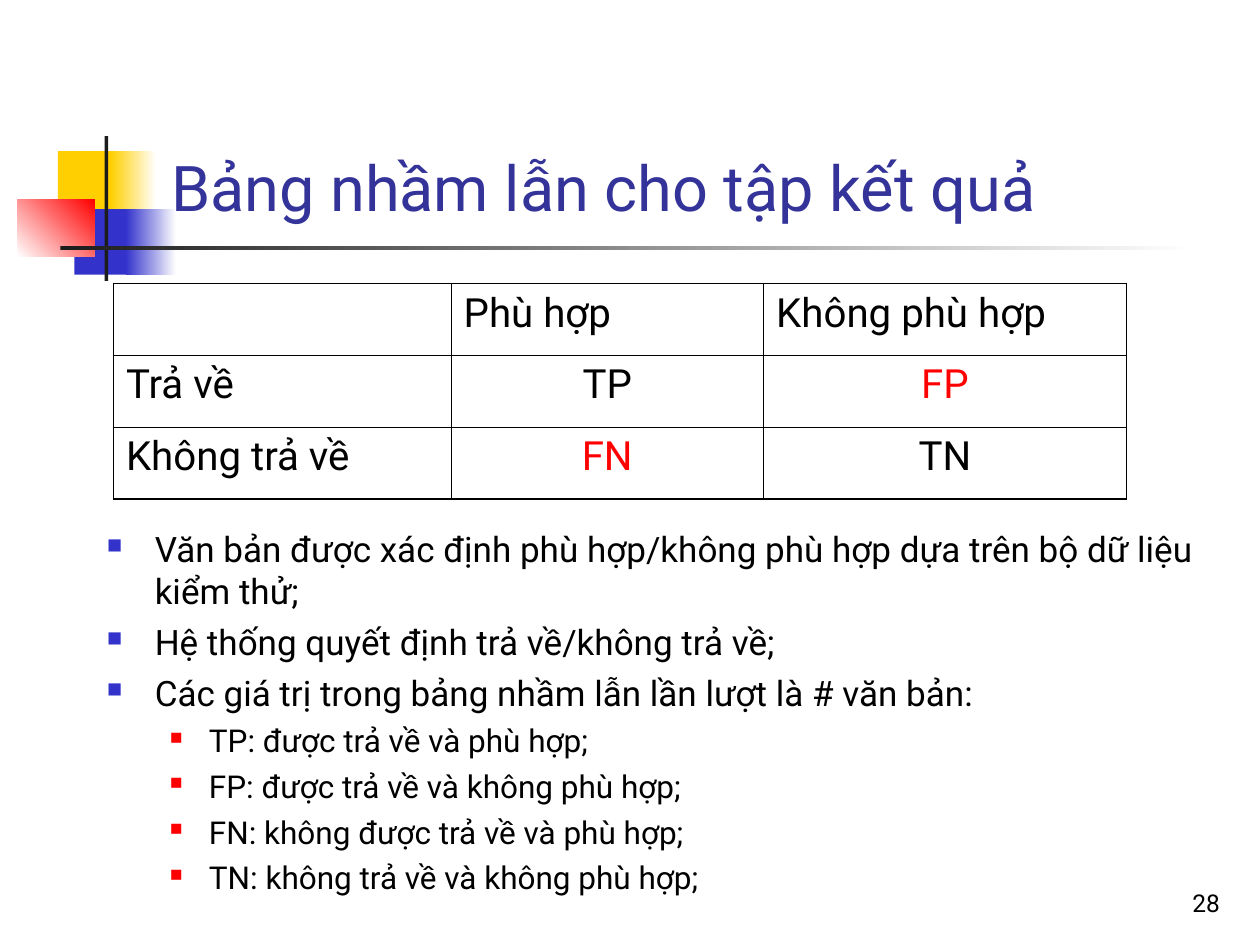
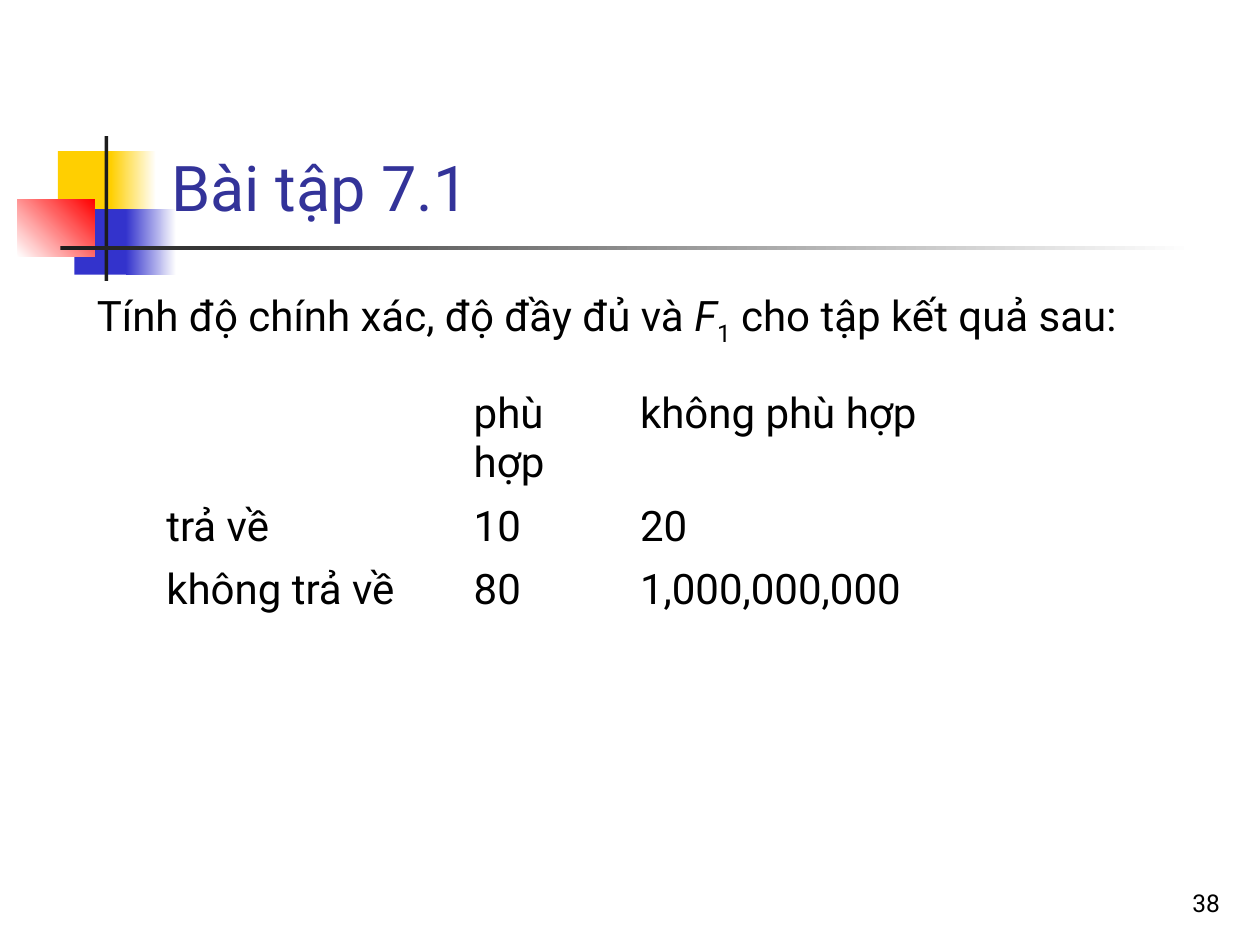
from pptx import Presentation
from pptx.dml.color import RGBColor
from pptx.enum.shapes import MSO_SHAPE
from pptx.enum.text import MSO_ANCHOR, PP_ALIGN
from pptx.oxml.ns import qn
from pptx.util import Inches, Pt
from lxml import etree

RECTANGLE = MSO_SHAPE.RECTANGLE
LEFT, CENTER, RIGHT = PP_ALIGN.LEFT, PP_ALIGN.CENTER, PP_ALIGN.RIGHT
TOP, BOTTOM = MSO_ANCHOR.TOP, MSO_ANCHOR.BOTTOM

FONT = "Roboto"
BLACK = RGBColor(0x00, 0x00, 0x00)
WHITE = RGBColor(0xFF, 0xFF, 0xFF)
INK = RGBColor(0x1C, 0x1C, 0x1C)
YELLOW = RGBColor(0xFF, 0xCF, 0x01)
BLUE = RGBColor(0x33, 0x33, 0xCC)
RED = RGBColor(0xFF, 0x00, 0x00)
TITLE_BLUE = RGBColor(0x33, 0x33, 0x99)

deck = Presentation()
deck.slide_width, deck.slide_height = Inches(10), Inches(7.5)
COLUMN = deck.slide_width / 100
ROW = deck.slide_height / 75


def place(left, top, width, height):
    return round(left * COLUMN), round(top * ROW), round(width * COLUMN), round(height * ROW)


def write(frame, text, size, color=BLACK, align=LEFT, before=0, bullet=None,
          joined=False, italic=False, baseline=0):
    if joined or not frame.text:
        para = frame.paragraphs[-1]
    else:
        para = frame.add_paragraph()
        para.space_before = Pt(before)
    para.alignment = align
    if bullet:
        bullet_color, percent, margin, hanging = bullet
        settings = para._p.get_or_add_pPr()
        settings.set("marL", str(round(margin * COLUMN)))
        settings.set("indent", str(round(-hanging * COLUMN)))
        tint = etree.SubElement(settings, qn("a:buClr"))
        etree.SubElement(tint, qn("a:srgbClr"), val=str(bullet_color))
        etree.SubElement(settings, qn("a:buSzPct"), val=str(percent * 1000))
        etree.SubElement(settings, qn("a:buChar"), char="■")
    span = para.add_run()
    span.text = text
    span.font.name, span.font.size = FONT, Pt(size)
    span.font.color.rgb, span.font.italic = color, italic
    if baseline:
        span.font._element.set("baseline", str(baseline * 1000))


ORNAMENTS = [
    ((4.6, 12, 4.8, 5.2), YELLOW, YELLOW, 0),
    ((8.8, 12, 3.6, 5.2), YELLOW, WHITE, 0),
    ((5.9, 16.6, 4.6, 5.2), BLUE, BLUE, 0),
    ((10, 16.6, 4, 5.2), BLUE, WHITE, 0),
    ((1.4, 15.8, 6.1, 4.6), WHITE, RED, 45),
    ((8.3, 10.8, 0.3, 11.5), INK, INK, 0),
    ((4.8, 19.5, 90, 0.35), INK, WHITE, 0),
]

MAIN = dict(size=20, before=5, bullet=(BLUE, 60, 3.8, 3.8))
SUB = dict(size=18, before=4.5, bullet=(RED, 55, 8.1, 3.1))

PAGES = [
    dict(
        title="Bảng nhầm lẫn cho tập kết quả", number="28",
        body_area=(7.5, 41.4, 88.9, 29.9),
        body=[
            ("Văn bản được xác định phù hợp/không phù hợp dựa trên bộ dữ liệu kiểm thử;", MAIN),
            ("Hệ thống quyết định trả về/không trả về;", MAIN),
            ("Các giá trị trong bảng nhầm lẫn lần lượt là # văn bản:", MAIN),
            ("TP: được trả về và phù hợp;", SUB),
            ("FP: được trả về và không phù hợp;", SUB),
            ("FN: không được trả về và phù hợp;", SUB),
            ("TN: không trả về và không phù hợp;", SUB),
        ],
        corner=(9, 22.5), widths=(26.8, 24.8, 28.8), heights=(5.7, 5.7, 5.7),
        cells=[["", "Phù hợp", "Không phù hợp"],
               ["Trả về", "TP", "FP"],
               ["Không trả về", "FN", "TN"]],
        cell_size=23, value_align=CENTER, border=BLACK, outer=1.08,
    ),
    dict(
        title="Bài tập 7.1", number="38",
        body_area=(6.7, 22.5, 91.2, 41.9),
        body=[
            ("Tính độ chính xác, độ đầy đủ và ", dict(size=24)),
            ("F", dict(size=24, joined=True, italic=True)),
            ("1", dict(size=24, joined=True, baseline=-25)),
            (" cho tập kết quả sau:", dict(size=24, joined=True)),
        ],
        corner=(12.2, 30.4), widths=(24.4, 13.2, 33.8), heights=(9, 5, 5),
        cells=[["", "phù hợp", "không phù hợp"],
               ["trả về", "10", "20"],
               ["không trả về", "80", "1,000,000,000"]],
        cell_size=24, value_align=LEFT, border=WHITE, outer=0.45,
    ),
]

for content in PAGES:
    page = deck.slides.add_slide(deck.slide_layouts[6])

    for area, start, end, angle in ORNAMENTS:
        ornament = page.shapes.add_shape(RECTANGLE, *place(*area))
        ornament.shadow.inherit = False
        ornament.line.fill.background()
        if start == end:
            ornament.fill.solid()
            ornament.fill.fore_color.rgb = start
        else:
            ornament.fill.gradient()
            ornament.fill.gradient_angle = angle
            for stop, color in zip(ornament.fill.gradient_stops, (start, end)):
                stop.color.rgb = color

    text_boxes = [
        ((12.6, 2.3, 85.2, 16), BOTTOM, [(content["title"], dict(size=36, color=TITLE_BLUE))]),
        (content["body_area"], TOP, content["body"]),
        ((77, 68.3, 20.8, 5), BOTTOM, [(content["number"], dict(size=14, align=RIGHT))]),
    ]
    for area, anchor, lines in text_boxes:
        box = page.shapes.add_textbox(*place(*area))
        box.text_frame.word_wrap = True
        box.text_frame.vertical_anchor = anchor
        for text, style in lines:
            write(box.text_frame, text, **style)

    widths, heights = content["widths"], content["heights"]
    area = place(*content["corner"], sum(widths), sum(heights))
    table = page.shapes.add_table(len(heights), len(widths), *area).table
    table.first_row = table.horz_banding = False
    for column, width in zip(table.columns, widths):
        column.width = round(width * COLUMN)
    for row, height in zip(table.rows, heights):
        row.height = round(height * ROW)

    for row_index, texts in enumerate(content["cells"]):
        for column_index, text in enumerate(texts):
            cell = table.cell(row_index, column_index)
            settings = cell._tc.get_or_add_tcPr()
            edges = {
                "a:lnL": column_index == 0,
                "a:lnR": column_index == len(widths) - 1,
                "a:lnT": row_index == 0,
                "a:lnB": row_index == len(heights) - 1,
            }
            for tag, is_outer in edges.items():
                weight = Pt(content["outer"] if is_outer else 0.45)
                edge = etree.SubElement(settings, qn(tag), w=str(weight))
                paint = etree.SubElement(edge, qn("a:solidFill"))
                etree.SubElement(paint, qn("a:srgbClr"), val=str(content["border"]))
            cell.fill.background()
            if text:
                is_value = row_index > 0 and column_index > 0
                write(cell.text_frame, text, content["cell_size"],
                      color=RED if text in ("FP", "FN") else BLACK,
                      align=content["value_align"] if is_value else LEFT)

deck.save("out.pptx")
